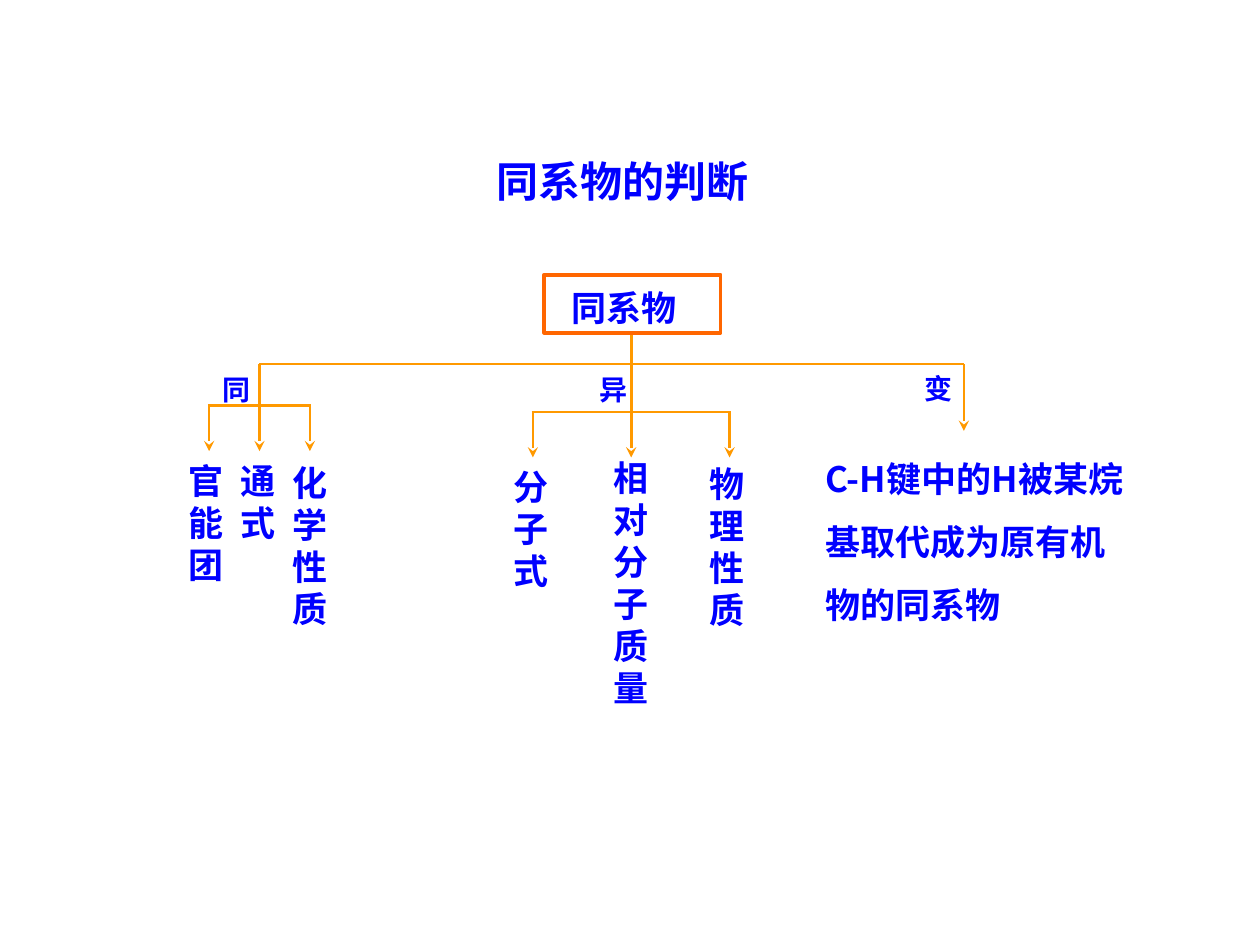
from lxml import etree
from pptx import Presentation
from pptx.dml.color import RGBColor
from pptx.enum.shapes import MSO_CONNECTOR as Connector, MSO_SHAPE as Shape
from pptx.enum.text import PP_ALIGN as Align
from pptx.oxml.ns import qn
from pptx.util import Pt

BLUE = RGBColor(0x00, 0x00, 0xFF)
AMBER = RGBColor(0xFF, 0x99, 0x00)
ORANGE = RGBColor(0xFF, 0x66, 0x00)
FONT = "Noto Sans CJK SC"

MARGINS = {"margin_left": Pt(7.2), "margin_right": Pt(7.2),
           "margin_top": Pt(4.5), "margin_bottom": Pt(3.6), "word_wrap": True}

# Horizontal positions of the three branches, and height of the main bar
SAME_X, DIFFERENT_X, CHANGE_X = 148.3, 360.7, 550.8
BAR_Y = 208.1


def add_text(slide, text, left, top, width, height, size=20, spacing=24,
             align=Align.LEFT):
    frame = slide.shapes.add_textbox(
        Pt(left), Pt(top), Pt(width), Pt(height)).text_frame
    for name, value in MARGINS.items():
        setattr(frame, name, value)
    frame.text = text
    style = {"size": Pt(size), "bold": True, "name": FONT}
    for paragraph in frame.paragraphs:
        paragraph.alignment = align
        paragraph.line_spacing = Pt(spacing)
        for run in paragraph.runs:
            for name, value in style.items():
                setattr(run.font, name, value)
            run.font.color.rgb = BLUE
            east_asian = etree.SubElement(run.font._element, qn("a:ea"))
            east_asian.set("typeface", FONT)


def add_line(slide, x1, y1, x2, y2, arrow=False):
    line = slide.shapes.add_connector(
        Connector.STRAIGHT, Pt(x1), Pt(y1), Pt(x2), Pt(y2))
    line.line.color.rgb = AMBER
    line.line.width = Pt(1.5)
    if arrow:
        tail = etree.SubElement(line.line._get_or_add_ln(), qn("a:tailEnd"))
        tail.set("type", "stealth")
    etree.SubElement(line._element.spPr, qn("a:effectLst"))


def add_fork(slide, center, top, gap):
    """A short bar with three arrows hanging from it."""
    add_line(slide, center - gap - 0.7, top, center + gap + 0.7, top)
    for step in (-1, 0, 1):
        x = center + step * gap
        add_line(slide, x, top, x, top + 26, arrow=True)


def add_root_box(slide):
    box = slide.shapes.add_shape(
        Shape.RECTANGLE, Pt(311), Pt(157), Pt(100.8), Pt(33.1))
    box.shadow.inherit = False
    box.fill.background()
    box.line.color.rgb = ORANGE
    box.line.width = Pt(2.25)
    add_text(slide, "同系物", 319.7, 152, 136, 39, spacing=31.2)


def main():
    prs = Presentation()
    prs.slide_width, prs.slide_height = Pt(720), Pt(540)
    slide = prs.slides.add_slide(prs.slide_layouts[6])

    # Title
    add_text(slide, "同系物的判断", 230, 84.2, 252, 36, size=24,
             spacing=28.8, align=Align.CENTER)

    # Tree lines
    add_line(slide, SAME_X, BAR_Y, CHANGE_X, BAR_Y)
    add_line(slide, SAME_X, BAR_Y, SAME_X, 232)
    add_line(slide, DIFFERENT_X, 190.8, DIFFERENT_X, 235.4)
    add_line(slide, CHANGE_X, BAR_Y, CHANGE_X, 246.2, arrow=True)
    add_fork(slide, SAME_X, 231.8, 28.8)
    add_fork(slide, DIFFERENT_X, 235.4, 56.2)
    add_root_box(slide)

    # Branch labels
    for label, left, top, width in (("同", 120.2, 203.8, 47.5),
                                    ("异", 335.5, 203.8, 93.6),
                                    ("变", 521.3, 203, 64)):
        add_text(slide, label, left, top, width, 31.7, size=16)

    # Leaves: boxes one character wide, so the text runs downwards
    for leaf, left, top, height in (("官\n能\n团", 100.8, 257.8, 79.2),
                                    ("通式", 130.3, 257.8, 55.4),
                                    ("化学性质", 159.8, 259.2, 103.7),
                                    ("分子式", 286.6, 261.4, 79.2),
                                    ("相对分子质量", 343.4, 256.3, 151.2),
                                    ("物理性质", 398.2, 259.9, 103.7)):
        add_text(slide, leaf, left, top, 49, height)

    # Explanation of the change
    add_text(slide, "C-H键中的H被某烷基取代成为原有机物的同系物",
             464.4, 244.8, 190, 115.2, spacing=36)

    prs.save("out.pptx")


if __name__ == "__main__":
    main()
